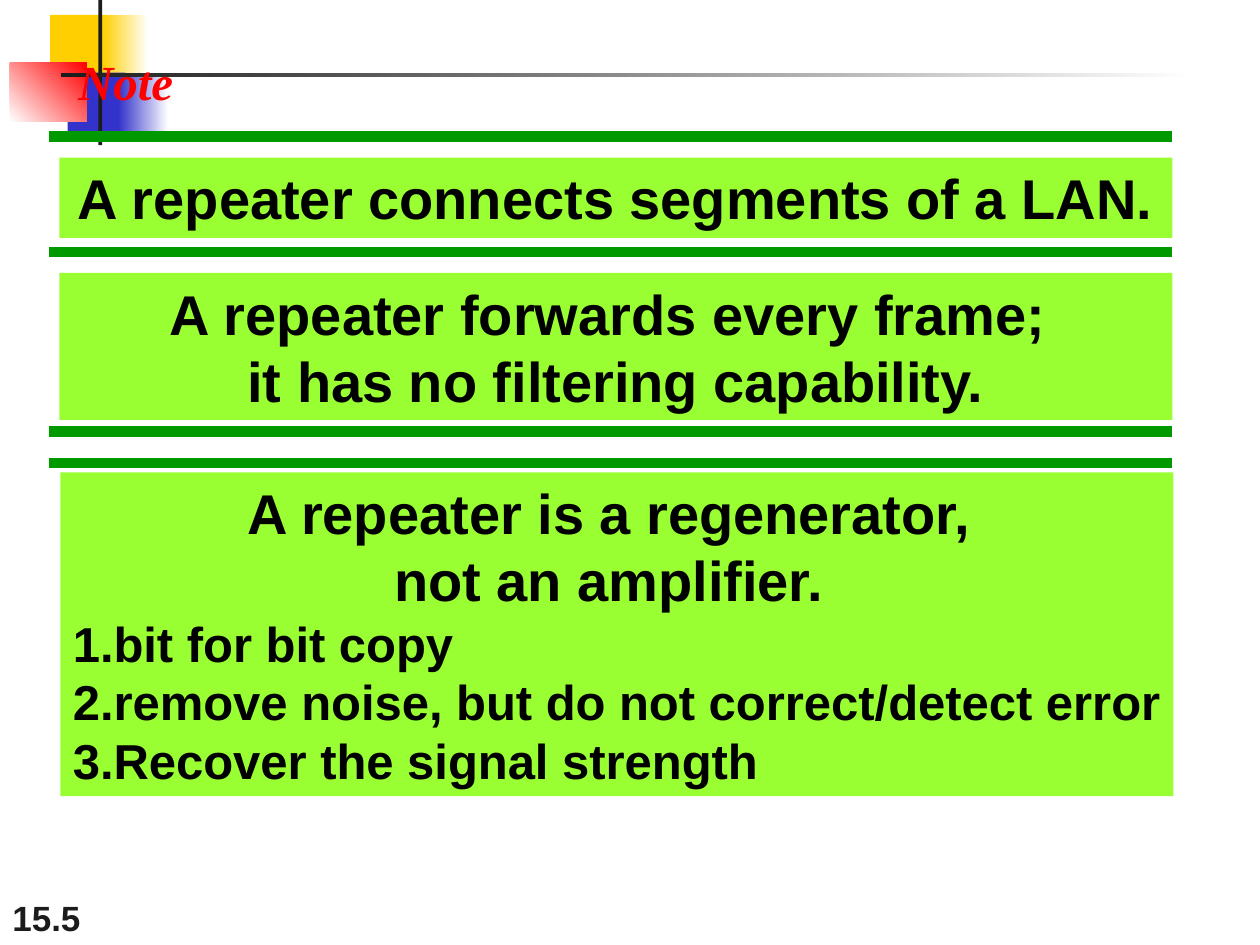
from lxml.etree import SubElement
from pptx import Presentation
from pptx.dml.color import RGBColor as RGB
from pptx.enum.shapes import MSO_CONNECTOR as LINK, MSO_SHAPE as SHAPE
from pptx.enum.text import MSO_ANCHOR as ANCHOR, MSO_AUTO_SIZE as FIT, PP_ALIGN as ALIGN
from pptx.oxml.ns import qn
from pptx.util import Pt

HUES = {"ink": "1C1C1C", "gold": "FFCF01", "blue": "3333CC", "red": "FF0000",
        "white": "FFFFFF", "green": "009900", "lime": "99FF33", "black": "000000"}


def hue(name):
    """Return the named colour."""
    return RGB.from_string(HUES[name])


def block(slide, box, *tints, angle=0):
    """Draw a borderless rectangle, solid for one tint and graded for two."""
    rect = slide.shapes.add_shape(SHAPE.RECTANGLE, *map(Pt, box))
    rect.shadow.inherit = False
    rect.line.fill.background()
    if len(tints) == 1:
        rect.fill.solid()
        rect.fill.fore_color.rgb = hue(tints[0])
    else:
        rect.fill.gradient()
        rect.fill.gradient_angle = angle
        for stop, tint in zip(rect.fill.gradient_stops, tints):
            stop.color.rgb = hue(tint)
    return rect


def write(para, text, size=32, font="Arial", tint="black", italic=False,
          align=ALIGN.LEFT, number=False):
    """Fill a paragraph with bold text, numbered if asked."""
    para.text = text
    para.alignment = align
    for run in para.runs:
        run.font.name, run.font.size = font, Pt(size)
        run.font.bold, run.font.italic = True, italic
        run.font.color.rgb = hue(tint)
    if number:
        props = para._p.get_or_add_pPr()
        shade = SubElement(props, qn("a:buClr"))
        SubElement(shade, qn("a:srgbClr"), val=HUES[tint])
        SubElement(props, qn("a:buAutoNum"), type="arabicPeriod")


def label(slide, box, text, wrap=True, anchor=ANCHOR.TOP, **style):
    """Place a text box with one line."""
    frame = slide.shapes.add_textbox(*map(Pt, box)).text_frame
    frame.word_wrap = wrap
    frame.vertical_anchor = anchor
    write(frame.paragraphs[0], text, **style)


def rule(slide, left, top, width):
    """Draw a thick green horizontal line."""
    line = slide.shapes.add_connector(
        LINK.STRAIGHT, Pt(left), Pt(top), Pt(left + width), Pt(top))
    line.line.color.rgb = hue("green")
    line.line.width = Pt(6)
    SubElement(line._element.spPr, qn("a:effectLst"))


def panel(slide, box, text, points=()):
    """Place a lime panel with a centred claim and numbered points."""
    frame = block(slide, box, "lime").text_frame
    frame.word_wrap = True
    frame.vertical_anchor = ANCHOR.TOP
    frame.auto_size = FIT.SHAPE_TO_FIT_TEXT
    write(frame.paragraphs[0], text, align=ALIGN.CENTER)
    for point in points:
        write(frame.add_paragraph(), point, size=28, number=True)


def badge(slide, left, top, width):
    """Draw the corner ornament of faded squares and crossed bars."""
    block(slide, (left + 23, top + 8.5, 34.5, 37.5), "gold")
    block(slide, (left + 53, top + 8.5, 26, 37.5), "gold", "white")
    block(slide, (left + 33, top + 41.5, 33, 37.5), "blue")
    block(slide, (left + 62, top + 41.5, 28.5, 37.5), "blue", "white")
    block(slide, (left, top + 36, 44, 33.5), "white", "red", angle=45)
    block(slide, (left + 50.5, top, 2.2, 83), "ink")
    block(slide, (left + 29, top + 41.5, width - 29, 2.5), "ink", "white")


def notes(slide, left, top, width):
    """Stack the green rules and the three claims below the heading."""
    for drop in (0, 66, 168.5, 186.5):
        rule(slide, left, top + drop, width)
    inset, span = left + 6, width - 6
    panel(slide, (inset, top + 12, span, 46),
          "A repeater connects segments of a LAN.")
    panel(slide, (inset, top + 78, span, 84),
          "A repeater forwards every frame; \vit has no filtering capability.")
    panel(slide, (inset + 0.5, top + 192, span, 185),
          "A repeater is a regenerator, \vnot an amplifier. ",
          ("bit for bit copy",
           "remove noise, but do not correct/detect error",
           "Recover the signal strength"))


def main():
    """Build and save the slide."""
    deck = Presentation()
    deck.slide_width, deck.slide_height = Pt(720), Pt(540)
    slide = deck.slides.add_slide(deck.slide_layouts[6])
    label(slide, (0, 504, 150, 36), "15.5", size=20, tint="ink",
          anchor=ANCHOR.BOTTOM)
    badge(slide, 5.7, 0, 677)
    label(slide, (37.5, 26, 68.5, 41), "Note", wrap=False, size=28,
          font="Times New Roman", tint="red", italic=True)
    notes(slide, 28, 78, 642)
    deck.save("out.pptx")


if __name__ == "__main__":
    main()
